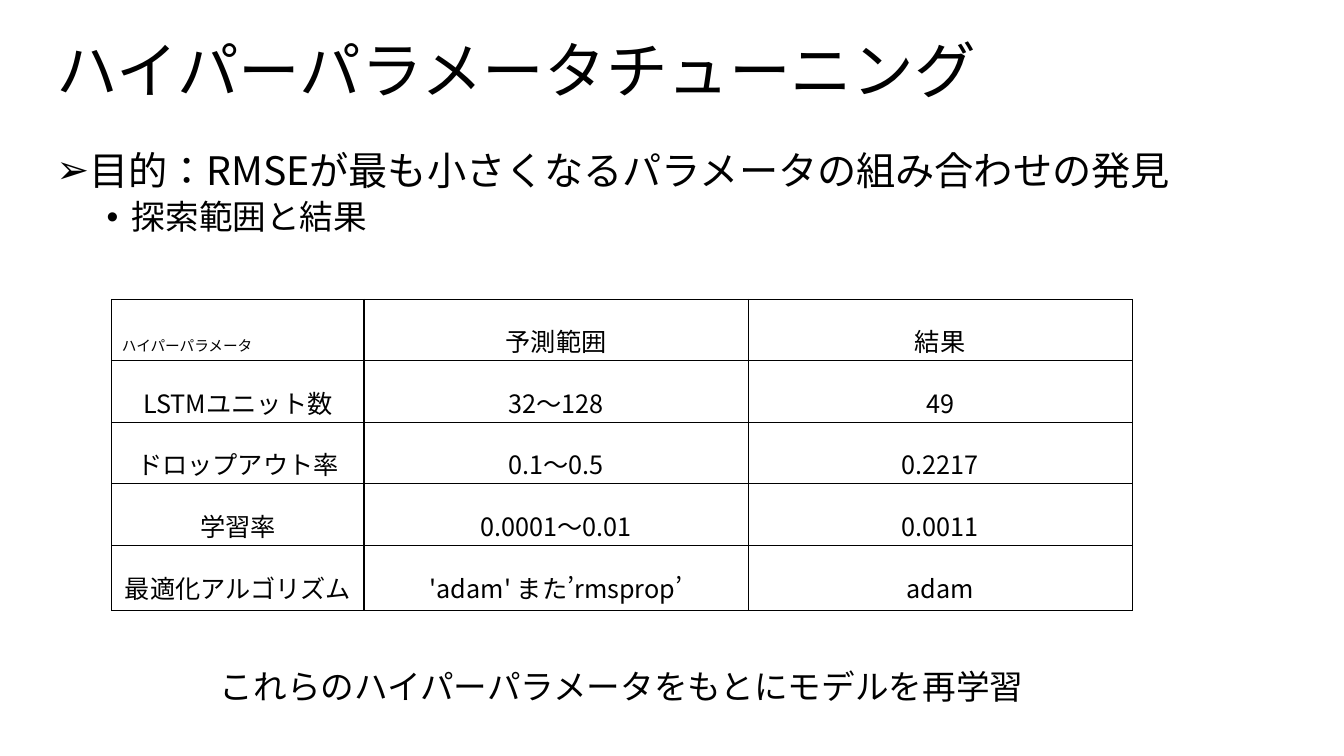
from lxml.etree import SubElement
from pptx import Presentation
from pptx.dml.color import RGBColor
from pptx.enum.lang import MSO_LANGUAGE_ID as Lang
from pptx.enum.text import MSO_ANCHOR as Anchor, PP_ALIGN as Align
from pptx.oxml.ns import qn
from pptx.util import Inches, Pt


def color(code):
    return RGBColor.from_string(code)


class Deck:
    font = "Noto Sans CJK JP"
    ink = "000000"

    def __init__(self, wide, high):
        self.prs = Presentation()
        self.prs.slide_width = Inches(wide)
        self.prs.slide_height = Inches(high)
        self.slide = self.prs.slides.add_slide(self.prs.slide_layouts[6])

    def run(self, para, text, size):
        run = para.add_run()
        run.text = text
        font = run.font
        font.size = Pt(size)
        font.color.rgb = color(self.ink)
        font.name = self.font
        font.language_id = Lang.JAPANESE
        SubElement(font._element, qn("a:ea"), typeface=self.font)

    def frame(self, box, anchor=Anchor.TOP):
        shape = self.slide.shapes.add_textbox(*map(Inches, box))
        frame = shape.text_frame
        frame.word_wrap = True
        frame.vertical_anchor = anchor
        return frame

    def text(self, box, text, size, anchor=Anchor.TOP, align=Align.LEFT, lead=1.0):
        para = self.frame(box, anchor).paragraphs[0]
        para.alignment = align
        para.line_spacing = lead
        self.run(para, text, size)

    def bullets(self, box, items):
        frame = self.frame(box)
        for num, (mark, text, size, gap) in enumerate(items):
            para = frame.add_paragraph() if num else frame.paragraphs[0]
            para.level = num
            para.line_spacing = 0.9
            para.space_before = Pt(gap)
            props = para._p.get_or_add_pPr()
            props.set("marL", str(Inches(0.25 + 0.5 * num)))
            props.set("indent", str(Inches(-0.25)))
            SubElement(props, qn("a:buFont"), typeface="Arial")
            SubElement(props, qn("a:buChar"), char=mark)
            self.run(para, text, size)

    def border(self, cell):
        props = cell._tc.get_or_add_tcPr()
        for side in ("lnL", "lnR", "lnT", "lnB"):
            line = SubElement(props, qn(f"a:{side}"), w=str(Pt(1)))
            fill = SubElement(line, qn("a:solidFill"))
            SubElement(fill, qn("a:srgbClr"), val=self.ink)

    def table(self, box, cols, highs, rows):
        shape = self.slide.shapes.add_table(len(rows), len(cols), *map(Inches, box))
        table = shape.table
        table.first_row = table.horz_banding = False
        for col, wide in zip(table.columns, cols):
            col.width = Inches(wide)
        for row, high, texts in zip(table.rows, highs, rows):
            row.height = Inches(high)
            for cell, text in zip(row.cells, texts):
                head = text == rows[0][0]
                self.border(cell)
                cell.fill.background()
                cell.vertical_anchor = Anchor.BOTTOM
                para = cell.text_frame.paragraphs[0]
                para.alignment = Align.LEFT if head else Align.CENTER
                para.line_spacing = 1.5
                self.run(para, text, 10.5 if head else 18)

    def save(self):
        self.prs.save("out.pptx")


def main():
    deck = Deck(13.33, 7.5)
    deck.text((0.46, 0, 12.42, 1.45), "ハイパーパラメータチューニング", 44,
              anchor=Anchor.MIDDLE, lead=0.9)
    deck.bullets((0.46, 1.45, 12.42, 6.05), [
        ("➢", "目的：RMSEが最も小さくなるパラメータの組み合わせの発見", 28, 10),
        ("•", "探索範囲と結果", 24, 5),
    ])
    deck.table((1.11, 2.97, 10.12, 3.09), (2.5, 3.81, 3.81), [0.61] * 4 + [0.65], [
        ("ハイパーパラメータ", "予測範囲", "結果"),
        ("LSTMユニット数", "32〜128", "49"),
        ("ドロップアウト率", "0.1〜0.5", "0.2217"),
        ("学習率", "0.0001〜0.01", "0.0011"),
        ("最適化アルゴリズム", "'adam' また’rmsprop’", "adam"),
    ])
    deck.text((1.11, 6.56, 10.11, 0.5),
              "これらのハイパーパラメータをもとにモデルを再学習", 24, align=Align.CENTER)
    deck.save()


if __name__ == "__main__":
    main()
